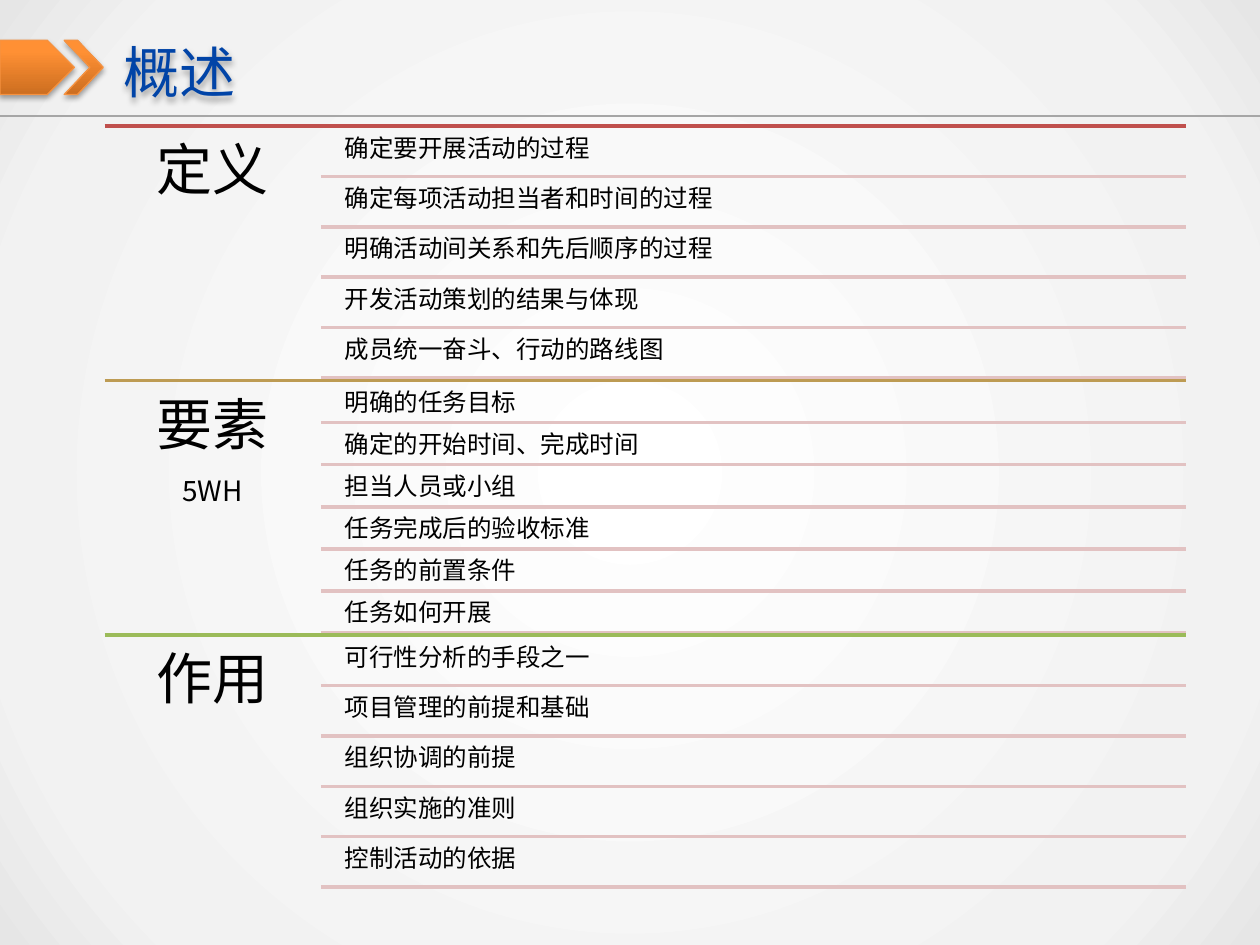
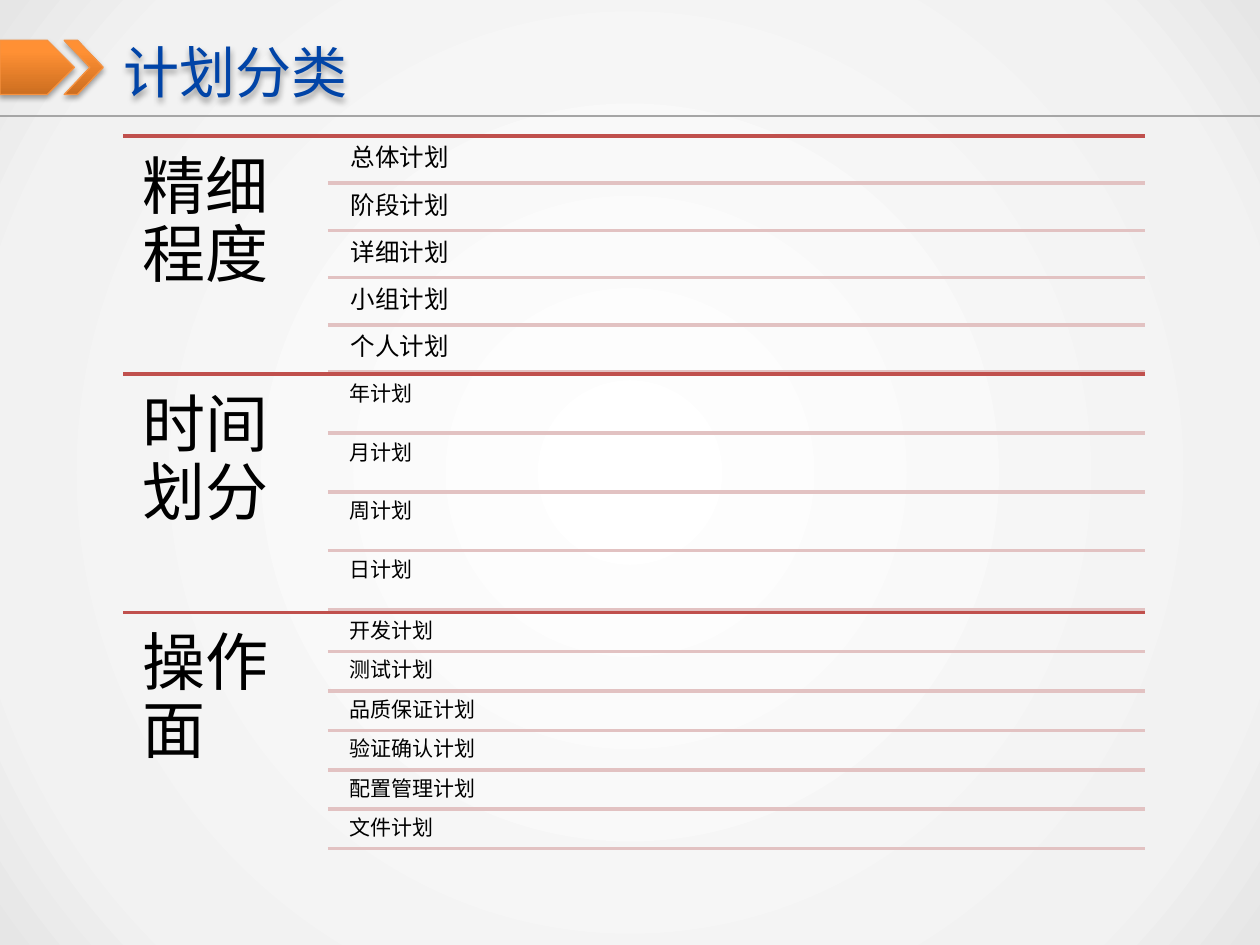
from lxml import etree
from pptx import Presentation
from pptx.dml.color import RGBColor
from pptx.enum.shapes import MSO_CONNECTOR, MSO_SHAPE
from pptx.enum.text import MSO_ANCHOR, PP_ALIGN
from pptx.oxml import parse_xml
from pptx.oxml.ns import nsdecls, qn
from pptx.util import Inches, Pt

LINE = MSO_CONNECTOR.STRAIGHT
PLATE, CHEVRON = MSO_SHAPE.PENTAGON, MSO_SHAPE.CHEVRON
TOP, MIDDLE = MSO_ANCHOR.TOP, MSO_ANCHOR.MIDDLE
LEFT, CENTER = PP_ALIGN.LEFT, PP_ALIGN.CENTER

FONT = "Noto Sans CJK SC"
BLUE = RGBColor(0x01, 0x44, 0xA7)
BLACK = RGBColor(0, 0, 0)
GRAY = RGBColor(0xA6, 0xA6, 0xA6)
ORANGE = RGBColor(0xF6, 0x92, 0x40)
RED = RGBColor(0xC0, 0x50, 0x4D)
OCHRE = RGBColor(0xBD, 0x9B, 0x53)
GREEN = RGBColor(0x9B, 0xBB, 0x59)
PINK = RGBColor(0xE2, 0xC2, 0xC2)

GLOW = [(0, "FFFFFF"), (82, "F2F2F2"), (100, "E6E6E6")]
AMBER = [(0, "CC6E20"), (80, "FF9034"), (100, "FF9136")]
ROUND = ('<a:path {} path="circle"><a:fillToRect l="50000" t="50000" '
         'r="50000" b="50000"/></a:path>').format(nsdecls("a"))
UPWARD = '<a:lin {} ang="16200000" scaled="0"/>'.format(nsdecls("a"))
SHADOW = ('<a:outerShdw {} blurRad="40000" dist="23000" dir="5400000" '
          'rotWithShape="0"><a:srgbClr val="000000"><a:alpha val="35000"/>'
          '</a:srgbClr></a:outerShdw>').format(nsdecls("a"))

OUTLINE = [
    ("定义", RED, ["确定要开展活动的过程", "确定每项活动担当者和时间的过程",
                 "明确活动间关系和先后顺序的过程", "开发活动策划的结果与体现",
                 "成员统一奋斗、行动的路线图"], 14),
    ("要素\n5WH", OCHRE, ["明确的任务目标", "确定的开始时间、完成时间",
                        "担当人员或小组", "任务完成后的验收标准",
                        "任务的前置条件", "任务如何开展"], 14),
    ("作用", GREEN, ["可行性分析的手段之一", "项目管理的前提和基础",
                   "组织协调的前提", "组织实施的准则", "控制活动的依据"], 14),
]
KINDS = [
    ("精细程度", RED, ["总体计划", "阶段计划", "详细计划", "小组计划",
                   "个人计划"], 14),
    ("时间划分", RED, ["年计划", "月计划", "周计划", "日计划"], 12),
    ("操作面", RED, ["开发计划", "测试计划", "品质保证计划", "验证确认计划",
                  "配置管理计划", "文件计划"], 12),
]


def blend(fill, node, stops, course):
    """Give a fill the colour stops and the course (linear or round)."""
    fill.gradient()
    grad = node.find(".//" + qn("a:gradFill"))
    for child in list(grad):
        grad.remove(child)
    marks = etree.SubElement(grad, qn("a:gsLst"))
    for place, color in stops:
        mark = etree.SubElement(marks, qn("a:gs"), pos=str(place * 1000))
        etree.SubElement(mark, qn("a:srgbClr"), val=color)
    grad.append(parse_xml(course))


def shade(shape):
    """Drop a soft shadow below the shape."""
    shape.shadow.inherit = False
    shape._element.spPr.find(qn("a:effectLst")).append(parse_xml(SHADOW))


def rule(slide, left, right, y, color, weight=2):
    """Draw a level line."""
    line = slide.shapes.add_connector(
        LINE, Inches(left), Inches(y), Inches(right), Inches(y))
    line.line.color.rgb = color
    line.line.width = Pt(weight)
    etree.SubElement(line._element.spPr, qn("a:effectLst"))


def write(slide, text, area, sizes, pads, color=BLACK, align=LEFT,
          anchor=TOP, tight=True):
    """Add a text box; sizes holds one point size per paragraph."""
    box = slide.shapes.add_textbox(*map(Inches, area))
    frame = box.text_frame
    frame.word_wrap = True
    frame.vertical_anchor = anchor
    frame.margin_left = frame.margin_right = Inches(pads[0])
    frame.margin_top = frame.margin_bottom = Inches(pads[1])
    frame.text = text
    for para, size in zip(frame.paragraphs, sizes):
        para.alignment = align
        if tight:
            para.line_spacing = 0.9
            para.space_after = Pt(size * 0.35)
        font = para.runs[0].font
        font.name, font.size, font.color.rgb = FONT, Pt(size), color
        etree.SubElement(font._element, qn("a:ea"), typeface=FONT)
    return box


def arrow(slide, kind, left, width, bend):
    shape = slide.shapes.add_shape(
        kind, Inches(left), Inches(0.32), Inches(width), Inches(0.43))
    shape.adjustments[0] = bend
    blend(shape.fill, shape._element, AMBER, UPWARD)
    shape.line.color.rgb = ORANGE
    shape.line.width = Pt(0.75)
    shade(shape)


def start(prs, title):
    """Add a slide with the shared backdrop, title and arrows."""
    slide = prs.slides.add_slide(prs.slide_layouts[6])
    blend(slide.background.fill, slide._element, GLOW, ROUND)
    shade(write(slide, title, (0.98, 0.21, 8.82, 0.71), [32], (0, 0.05),
                BLUE, anchor=MIDDLE, tight=False))
    arrow(slide, PLATE, 0, 0.59, 0.5)
    arrow(slide, CHEVRON, 0.51, 0.31, 0.66)
    rule(slide, 0, 10, 0.92, GRAY, 0.75)
    return slide


def rows(slide, items, left, right, top, height, indent, size):
    """Stack items, each 20 gaps tall, with one gap around every item."""
    gap = height / (21 * len(items) + 1)
    pad = 0.06 if size > 12 else 0.05
    for i, item in enumerate(items):
        y = top + gap + i * 21 * gap
        area = (left + indent, y, right - left - indent, 20 * gap)
        write(slide, item, area, [size], (pad, pad))
        rule(slide, left, right, y + 20 * gap, PINK)


def chart(slide, parts, left, top, width, height, sizes, pad, align):
    """Lay out labelled sections; the label takes a fifth of the width."""
    right, side = left + width, width * 0.2
    for i, (label, color, items, size) in enumerate(parts):
        y = top + i * height
        rule(slide, left, right, y, color)
        write(slide, label, (left, y, side, height), sizes, (pad, pad),
              align=align)
        rows(slide, items, left + side, right, y, height, width * 0.015, size)


def main():
    prs = Presentation()
    prs.slide_width, prs.slide_height = Inches(10), Inches(7.5)
    chart(start(prs, "概述"), OUTLINE, 0.83, 1, 8.58, 2.02,
          [32, 16], 0.13, CENTER)
    chart(start(prs, "计划分类"), KINDS, 0.98, 1.08, 8.11, 1.89,
          [36], 0.15, LEFT)
    prs.save("out.pptx")


if __name__ == "__main__":
    main()
